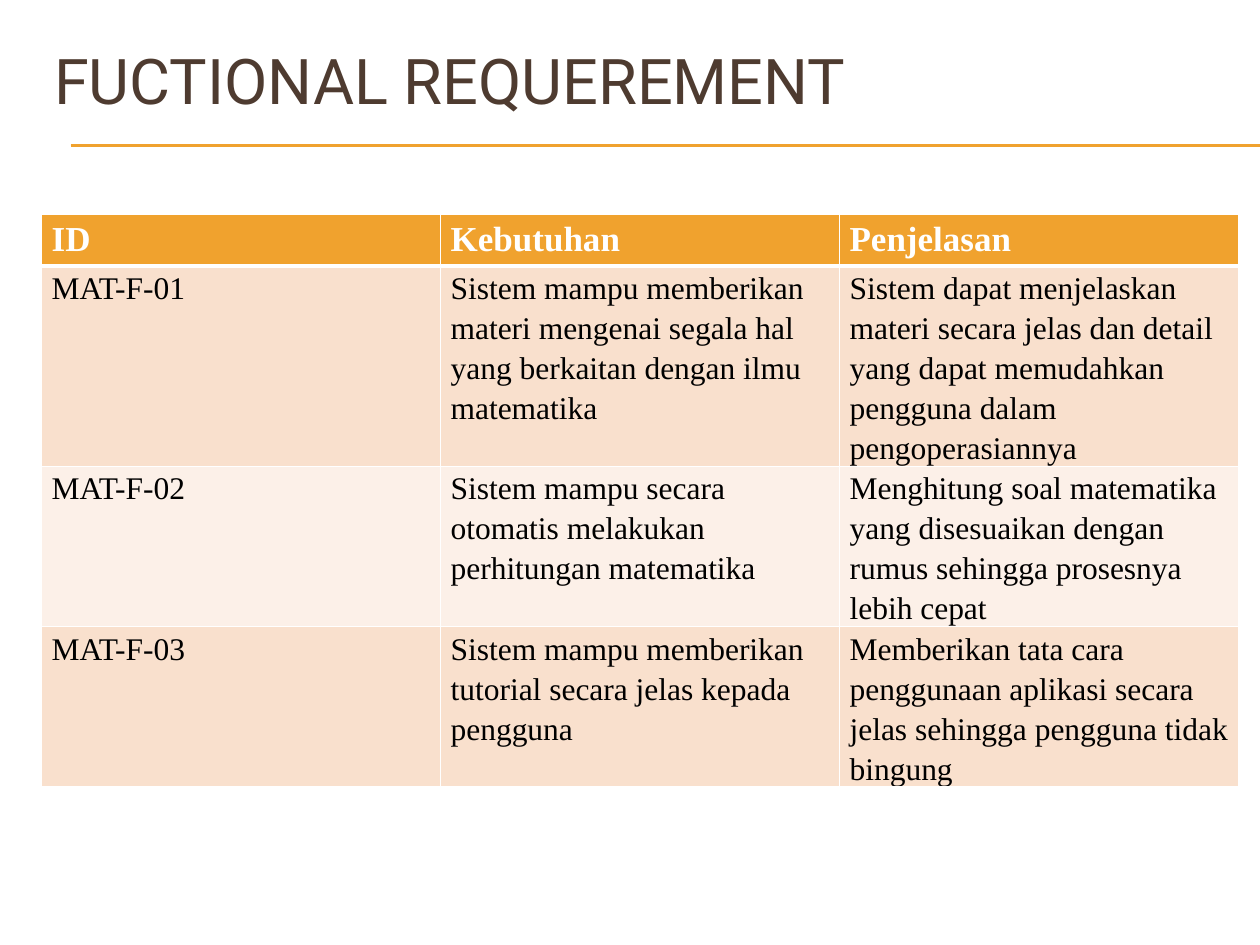
from lxml import etree
from pptx import Presentation
from pptx.dml.color import RGBColor
from pptx.enum.shapes import MSO_CONNECTOR
from pptx.enum.text import MSO_ANCHOR, MSO_AUTO_SIZE, PP_ALIGN
from pptx.oxml import parse_xml
from pptx.oxml.ns import nsdecls, qn
from pptx.util import Inches, Pt

STRAIGHT = MSO_CONNECTOR.STRAIGHT
MIDDLE = MSO_ANCHOR.MIDDLE
LEFT = PP_ALIGN.LEFT
NO_AUTOFIT = MSO_AUTO_SIZE.NONE
TITLE_ONLY = 5
COLUMNS, ROWS = 100, 75

REQUIREMENTS = [
    ("ID", "Kebutuhan", "Penjelasan"),
    ("MAT-F-01",
     "Sistem mampu memberikan materi mengenai segala hal yang berkaitan dengan ilmu matematika",
     "Sistem dapat menjelaskan materi secara jelas dan detail yang dapat memudahkan pengguna "
     "dalam pengoperasiannya"),
    ("MAT-F-02",
     "Sistem mampu secara otomatis melakukan perhitungan matematika",
     "Menghitung soal matematika yang disesuaikan dengan rumus sehingga prosesnya lebih cepat"),
    ("MAT-F-03",
     "Sistem mampu memberikan tutorial secara jelas kepada pengguna",
     "Memberikan tata cara penggunaan aplikasi secara jelas sehingga pengguna tidak bingung"),
]


def color(value):
    return RGBColor.from_string(value)


class RequirementSlide:
    title_font = "Roboto"
    table_font = "Times New Roman"
    accent = "F0A22E"
    title_color = "4E3B30"
    white = "FFFFFF"
    black = "000000"
    bands = ("FCF0E8", "F9E0CD")

    def __init__(self, presentation):
        self.column = presentation.slide_width / COLUMNS
        self.row = presentation.slide_height / ROWS
        self.slide = presentation.slides.add_slide(presentation.slide_layouts[TITLE_ONLY])

    def box(self, left, top, width, height):
        return (int(left * self.column), int(top * self.row),
                int(width * self.column), int(height * self.row))

    def format_text(self, paragraph, font, size, text_color, bold=False):
        for run in paragraph.runs:
            run.font.name = font
            run.font.size = Pt(size)
            run.font.bold = bold
            run.font.color.rgb = color(text_color)

    def title(self, text, *position):
        shape = self.slide.shapes.title
        shape.left, shape.top, shape.width, shape.height = self.box(*position)
        frame = shape.text_frame
        frame.text = text
        frame.auto_size = NO_AUTOFIT
        frame.vertical_anchor = MIDDLE
        paragraph = frame.paragraphs[0]
        paragraph.alignment = LEFT
        self.format_text(paragraph, self.title_font, 36, self.title_color)

    def rule(self, left, right, top):
        start, height, end, _ = self.box(left, top, right, 0)
        connector = self.slide.shapes.add_connector(STRAIGHT, start, height, end, height)
        connector.line.color.rgb = color(self.accent)
        connector.line.width = Pt(0.75)
        etree.SubElement(connector._element.spPr, qn("a:effectLst"))

    def borders(self, cell, top, bottom):
        properties = cell._tc.get_or_add_tcPr()
        widths = {"lnL": 1, "lnR": 1, "lnT": top, "lnB": bottom}
        for index, (side, width) in enumerate(widths.items()):
            properties.insert(index, parse_xml(
                f'<a:{side} {nsdecls("a")} w="{Pt(width)}"><a:solidFill>'
                f'<a:srgbClr val="{self.white}"/></a:solidFill></a:{side}>'))

    def cell(self, cell, text, row_index):
        header = row_index == 0
        cell.fill.solid()
        cell.fill.fore_color.rgb = color(self.accent if header else self.bands[row_index % 2])
        cell.margin_left = cell.margin_right = Inches(0.08)
        cell.margin_top = cell.margin_bottom = 0
        cell.text_frame.text = text
        paragraph = cell.text_frame.paragraphs[0]
        paragraph.line_spacing = 1.15
        self.format_text(paragraph, self.table_font, 20 if header else 18,
                         self.white if header else self.black, header)
        self.borders(cell, 3 if row_index == 1 else 1, 3 if header else 1)

    def table(self, records, left, top, width, row_height):
        position = self.box(left, top, width, row_height * len(records))
        table = self.slide.shapes.add_table(len(records), len(records[0]), *position).table
        for row_index, record in enumerate(records):
            for column_index, text in enumerate(record):
                self.cell(table.cell(row_index, column_index), text, row_index)


def main():
    presentation = Presentation()
    presentation.slide_width = Inches(10)
    presentation.slide_height = Inches(7.5)
    page = RequirementSlide(presentation)
    for top in (11.5, 11.6):
        page.rule(5.6, COLUMNS, top)
    page.title("FUCTIONAL REQUEREMENT", 3.3, 1.7, 95, 9.2)
    page.table(REQUIREMENTS, 3.3, 17, 95, 4.1)
    presentation.save("out.pptx")


if __name__ == "__main__":
    main()
